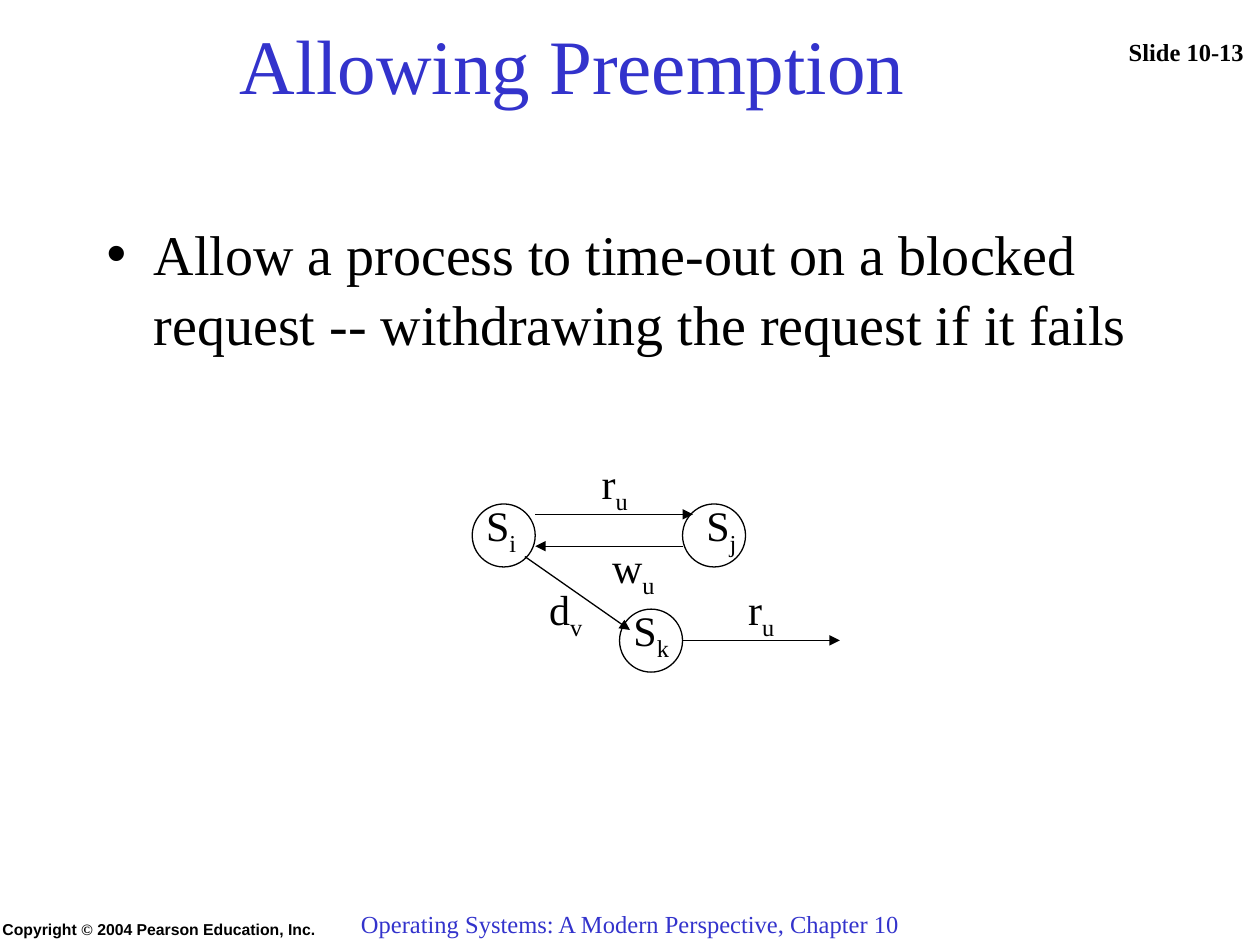
from dataclasses import dataclass

from lxml import etree
from pptx import Presentation
from pptx.dml.color import RGBColor
from pptx.enum.shapes import MSO_CONNECTOR, MSO_SHAPE
from pptx.enum.text import MSO_ANCHOR, MSO_AUTO_SIZE, PP_ALIGN
from pptx.oxml.ns import qn
from pptx.util import Cm, Pt

LEFT, CENTER = PP_ALIGN.LEFT, PP_ALIGN.CENTER
TOP, MIDDLE, BOTTOM = MSO_ANCHOR.TOP, MSO_ANCHOR.MIDDLE, MSO_ANCHOR.BOTTOM
NO_FIT = MSO_AUTO_SIZE.NONE
OVAL = MSO_SHAPE.OVAL
STRAIGHT = MSO_CONNECTOR.STRAIGHT


@dataclass(frozen=True)
class Theme:
    ink: RGBColor = RGBColor(0x00, 0x00, 0x00)
    accent: RGBColor = RGBColor(0x33, 0x33, 0xCC)
    serif: str = "Times New Roman"
    sans: str = "Arial"
    title: int = 44
    body: int = 32
    label: int = 24
    small: int = 14
    tiny: int = 9
    line: float = 0.75


THEME = Theme()


def place(sp, box):
    sp.left, sp.top, sp.width, sp.height = (Cm(v) for v in box)


def add_run(p, text, size=THEME.label, font=THEME.serif, color=THEME.ink,
            bold=False, baseline=0):
    r = p.add_run()
    r.text = text
    r.font.size = Pt(size)
    r.font.name = font
    r.font.bold = bold
    r.font.color.rgb = color
    if baseline:
        r.font._element.set("baseline", str(baseline * 1000))


def format_frame(sp, align=LEFT, anchor=TOP, wrap=True):
    tf = sp.text_frame
    tf.auto_size = NO_FIT
    tf.word_wrap = wrap
    tf.vertical_anchor = anchor
    tf.margin_left = tf.margin_right = Cm(0.25)
    tf.margin_top = tf.margin_bottom = Cm(0.13)
    p = tf.paragraphs[0]
    p.alignment = align
    p.space_before = Pt(0)
    return p


def add_text(slide, box, **fmt):
    sp = slide.shapes.add_textbox(*(Cm(v) for v in box))
    return format_frame(sp, **fmt)


def add_title(slide, box):
    sp = slide.shapes.title
    place(sp, box)
    p = format_frame(sp, align=CENTER, anchor=MIDDLE)
    add_run(p, "Allowing Preemption", size=THEME.title, color=THEME.accent)


def add_body(slide, box):
    sp = slide.placeholders[1]
    place(sp, box)
    p = format_frame(sp)
    p.line_spacing = 1.04
    pPr = p._p.get_or_add_pPr()
    pPr.set("marL", str(Cm(0.95)))
    pPr.set("indent", str(Cm(-0.95)))
    etree.SubElement(pPr, qn("a:buChar")).set("char", "•")
    add_run(p, "Allow a process to time-out on a blocked request"
               " -- withdrawing the request if it fails", size=THEME.body)


def add_slide_number(slide, box):
    p = add_text(slide, box, align=CENTER, anchor=BOTTOM, wrap=False)
    add_run(p, "Slide 10-13", size=THEME.small, bold=True)


def add_copyright(slide, box):
    p = add_text(slide, box)
    for text, font in (("Copyright ", THEME.sans), ("©", THEME.serif),
                       (" 2004 Pearson Education, Inc.", THEME.sans)):
        add_run(p, text, size=THEME.tiny, font=font, bold=True)


def add_footer(slide, box):
    p = add_text(slide, box, align=CENTER)
    add_run(p, "Operating Systems: A Modern Perspective, Chapter 10",
            size=THEME.small, color=THEME.accent)


def add_state(slide, x, y, size):
    sp = slide.shapes.add_shape(OVAL, Cm(x), Cm(y), Cm(size), Cm(size))
    sp.shadow.inherit = False
    sp.fill.background()
    sp.line.color.rgb = THEME.ink
    sp.line.width = Pt(THEME.line)


def add_arrow(slide, x1, y1, x2, y2):
    cxn = slide.shapes.add_connector(STRAIGHT, Cm(x1), Cm(y1), Cm(x2), Cm(y2))
    cxn.line.color.rgb = THEME.ink
    cxn.line.width = Pt(THEME.line)
    ln = cxn.line._get_or_add_ln()
    etree.SubElement(ln, qn("a:tailEnd")).set("type", "triangle")
    etree.SubElement(cxn._element.spPr, qn("a:effectLst"))


def add_diagram(slide, box):
    left, top = box[:2]
    size = 1.27
    states = ((0, 1.06), (2.97, 3.18), (4.24, 1.06))
    arrows = (
        (1.27, 1.27, 4.45, 1.27),
        (1.06, 2.12, 3.18, 3.6),
        (4.24, 1.91, 1.27, 1.91),
        (4.24, 3.81, 7.41, 3.81),
    )
    labels = (
        ("S", "i", 0.03, 0.85, 1.12),
        ("S", "j", 4.47, 0.85, 1.12),
        ("S", "k", 3, 2.96, 1.22),
        ("r", "u", 2.36, 0, 1.04),
        ("r", "u", 5.31, 2.54, 1.04),
        ("w", "u", 2.57, 1.69, 1.37),
        ("d", "v", 1.3, 2.54, 1.17),
    )
    for x, y in states:
        add_state(slide, left + x, top + y, size)
    for x1, y1, x2, y2 in arrows:
        add_arrow(slide, left + x1, top + y1, left + x2, top + y2)
    for base, sub, x, y, width in labels:
        p = add_text(slide, (left + x, top + y, width, 1.42), wrap=False)
        add_run(p, base)
        add_run(p, sub, baseline=-25)


def main():
    prs = Presentation()
    prs.slide_width, prs.slide_height = Cm(25.4), Cm(19.05)
    slide = prs.slides.add_slide(prs.slide_layouts[1])
    add_slide_number(slide, (22.43, -0.43, 2.97, 1.9))
    add_copyright(slide, (-0.2, 18.42, 12.27, 0.63))
    add_footer(slide, (5.82, 18.2, 13.77, 0.64))
    add_title(slide, (0.85, 0.64, 21.38, 1.27))
    add_body(slide, (1.9, 4.24, 21.6, 3.39))
    add_diagram(slide, (9.52, 9.1, 7.41, 4.45))
    prs.save("out.pptx")


if __name__ == "__main__":
    main()
